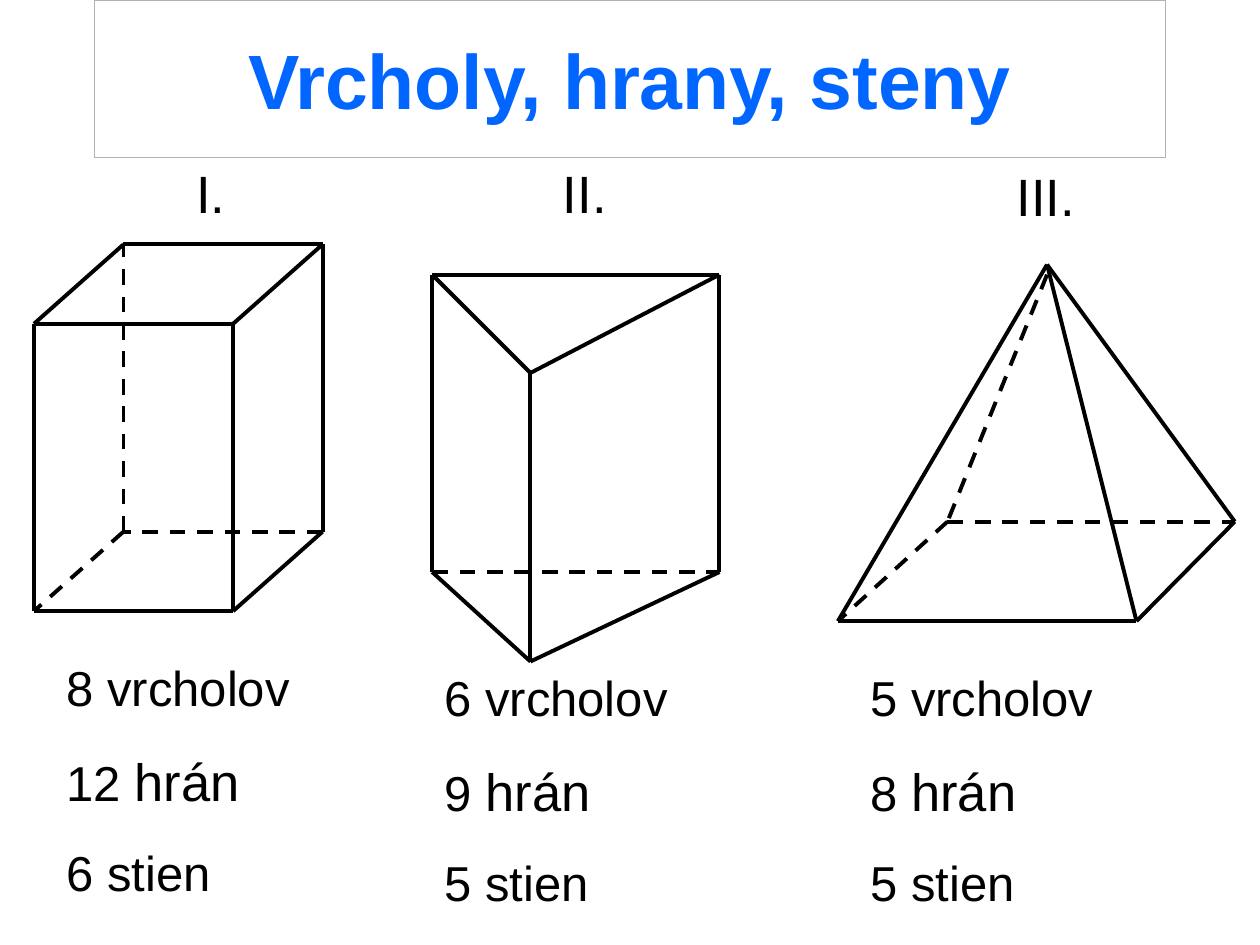
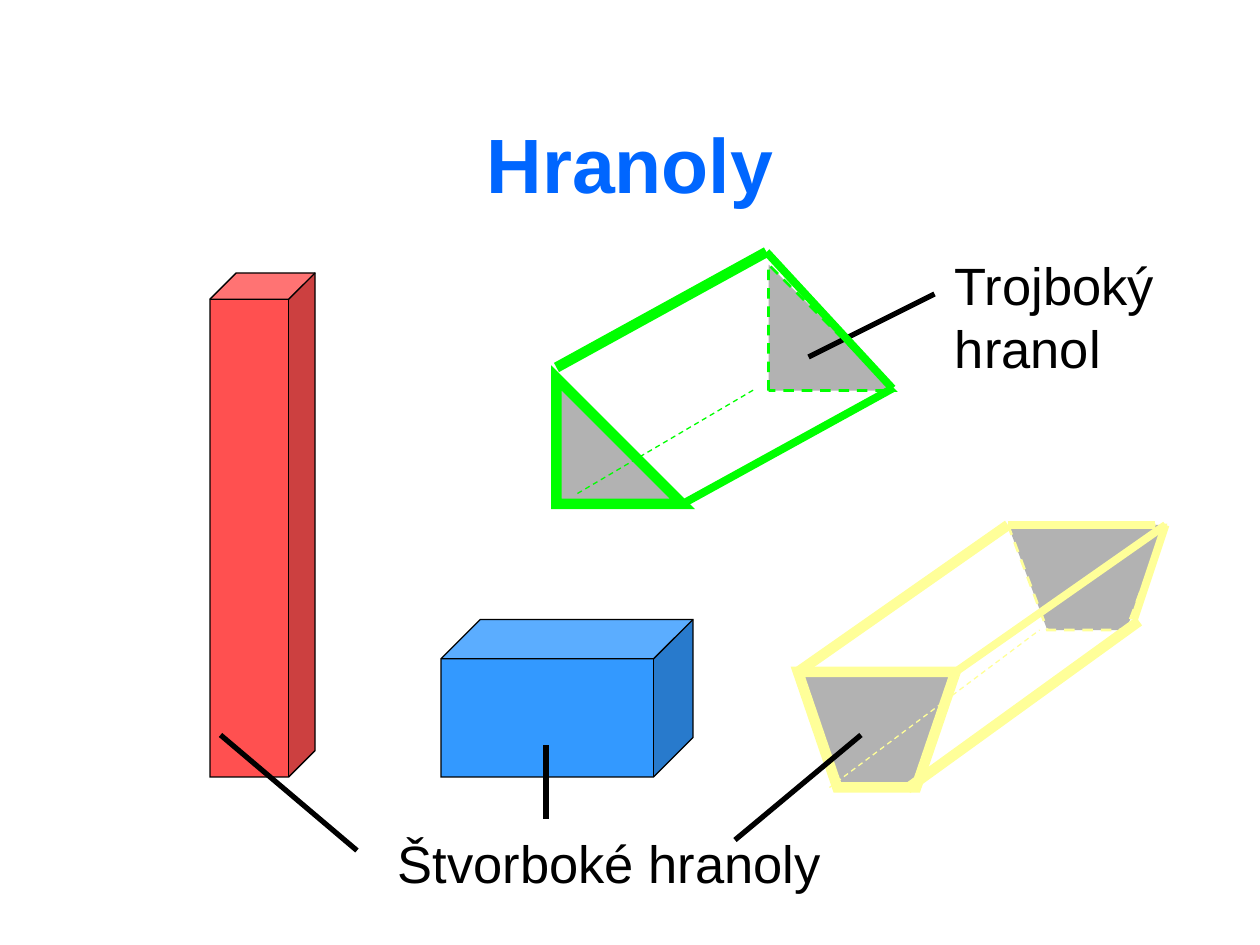
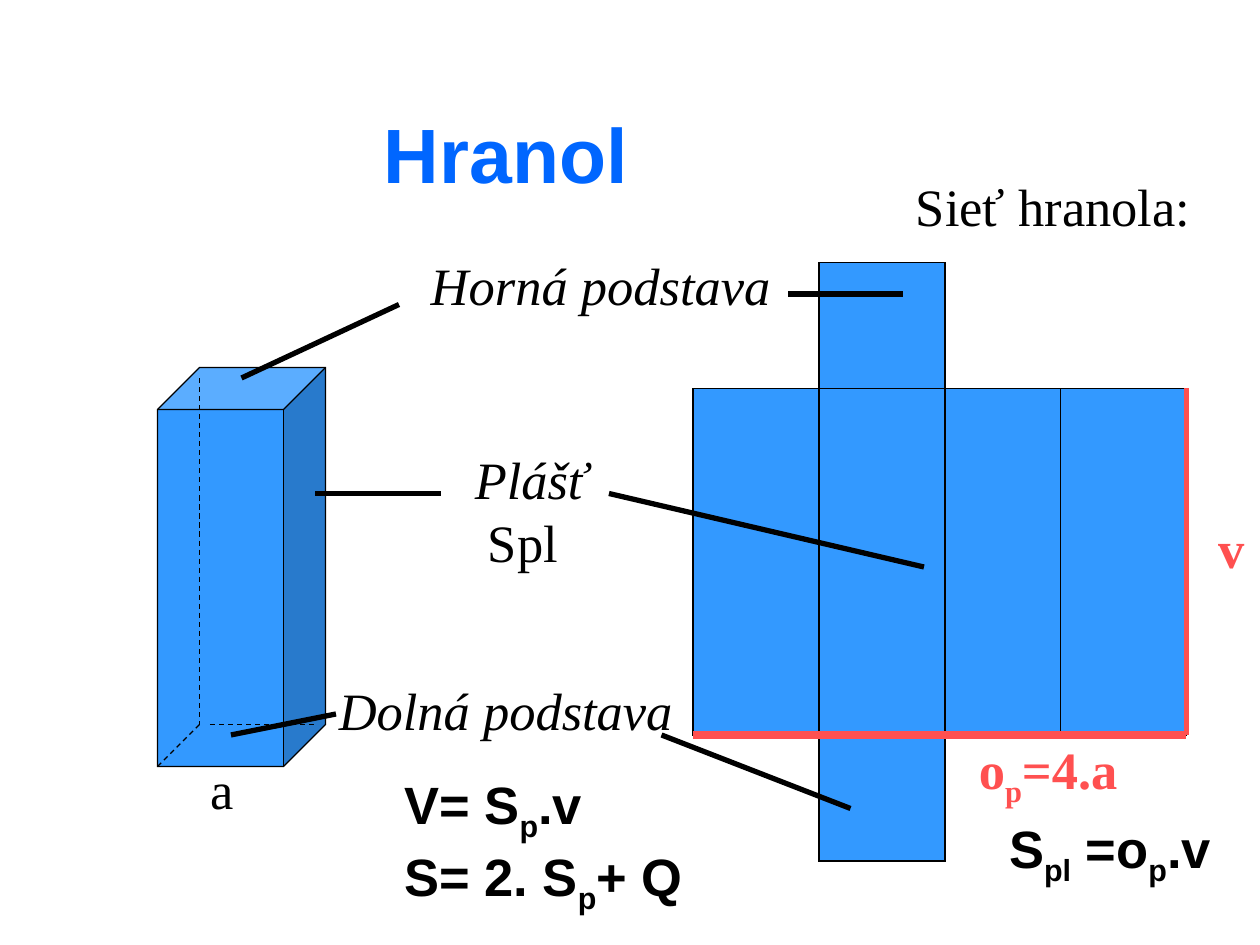
from dataclasses import dataclass
from typing import NamedTuple, Optional

from lxml import etree
from pptx import Presentation
from pptx.dml.color import RGBColor
from pptx.enum.dml import MSO_LINE
from pptx.enum.shapes import MSO_CONNECTOR, MSO_SHAPE
from pptx.enum.text import MSO_ANCHOR, MSO_AUTO_SIZE, PP_ALIGN
from pptx.oxml.ns import qn
from pptx.util import Inches, Pt

COLUMNS, ROWS = 120, 90
CELL = Inches(10) // COLUMNS
TITLE_ONLY = 5

STRAIGHT = MSO_CONNECTOR.STRAIGHT
CUBE, RECTANGLE, TRIANGLE = MSO_SHAPE.CUBE, MSO_SHAPE.RECTANGLE, MSO_SHAPE.RIGHT_TRIANGLE
DASH = MSO_LINE.DASH
MIDDLE = MSO_ANCHOR.MIDDLE
CENTER, RIGHT = PP_ALIGN.CENTER, PP_ALIGN.RIGHT
FIT_SHAPE, NO_FIT = MSO_AUTO_SIZE.SHAPE_TO_FIT_TEXT, MSO_AUTO_SIZE.NONE

SANS, SERIF = "Arial", "Times New Roman"
BLACK, TITLE_BLUE, BLUE, RED = "000000", "0066FF", "3399FF", "FF5050"
GRAY, GREEN, YELLOW = "B2B2B2", "00FF00", "FFFF99"

Point = tuple[float, float]


class Area(NamedTuple):
    """A place on the grid, in columns and rows."""
    left: float
    top: float
    width: float
    height: float


class Stroke(NamedTuple):
    """A line style."""
    colour: str
    width: float
    dashed: bool = False


class Span(NamedTuple):
    """A piece of text with one format."""
    text: str
    size: float = 30
    lowered: bool = False
    italic: bool = False


HAIRLINE = Stroke(BLACK, 0.75)
HIDDEN_HAIRLINE = Stroke(BLACK, 0.75, True)
SOLID_EDGE = Stroke(BLACK, 2.25)
HIDDEN_EDGE = Stroke(BLACK, 2.25, True)
POINTER = Stroke(BLACK, 3)


@dataclass
class Edge:
    """A straight line between two grid points."""
    start: Point
    end: Point
    stroke: Stroke


@dataclass
class Block:
    """A filled preset shape."""
    kind: int
    area: Area
    fill: str
    stroke: Stroke = HAIRLINE


@dataclass
class Trapezoid:
    """A trapezoid whose shorter side is at the bottom."""
    area: Area
    fill: str
    stroke: Stroke


@dataclass
class Label:
    """A text box holding one list of spans per line."""
    area: Area
    lines: list[list[Span]]
    font: str = SANS
    colour: str = BLACK
    bold: bool = False
    wraps: bool = False
    gap_share: float = 0
    last_indent: float = 0


@dataclass
class Solid:
    """A wireframe body with its numeral and its counts."""
    numeral: str
    numeral_area: Area
    vertices: dict[str, Point]
    visible: str
    hidden: str
    counts: tuple[int, int, int]
    counts_area: Area


def cells(*values: float) -> list[int]:
    """Turn grid units into lengths."""
    return [round(value * CELL) for value in values]


def rgb(colour: str) -> RGBColor:
    """Turn a hex string into a colour."""
    return RGBColor.from_string(colour)


def apply_stroke(line, stroke: Stroke) -> None:
    """Format a line or an outline."""
    line.color.rgb = rgb(stroke.colour)
    line.width = Pt(stroke.width)
    if stroke.dashed:
        line.dash_style = DASH


def dress(shape, fill: str, stroke: Stroke) -> None:
    """Give a shape its fill and a sharp-cornered outline."""
    shape.shadow.inherit = False
    shape.fill.solid()
    shape.fill.fore_color.rgb = rgb(fill)
    apply_stroke(shape.line, stroke)
    outline = shape._element.spPr.find(qn("a:ln"))
    etree.SubElement(outline, qn("a:miter")).set("lim", "800000")


def draw_edge(page, edge: Edge) -> None:
    """Draw a straight line."""
    line = page.shapes.add_connector(STRAIGHT, *cells(*edge.start, *edge.end))
    apply_stroke(line.line, edge.stroke)
    etree.SubElement(line._element.spPr, qn("a:effectLst"))


def draw_block(page, block: Block) -> None:
    """Draw a preset shape."""
    dress(page.shapes.add_shape(block.kind, *cells(*block.area)), block.fill, block.stroke)


def draw_trapezoid(page, trapezoid: Trapezoid) -> None:
    """Draw a trapezoid with its lower corners drawn in by a quarter."""
    left, top, width, height = trapezoid.area
    corners = [(left, top), (left + width / 4, top + height),
               (left + width * 3 / 4, top + height), (left + width, top)]
    first, *others = [tuple(cells(*corner)) for corner in corners]
    builder = page.shapes.build_freeform(*first)
    builder.add_line_segments(others, close=True)
    dress(builder.convert_to_shape(), trapezoid.fill, trapezoid.stroke)


def draw_label(page, label: Label) -> None:
    """Write a text box."""
    box = page.shapes.add_textbox(*cells(*label.area))
    frame = box.text_frame
    frame.word_wrap = label.wraps
    frame.auto_size = FIT_SHAPE
    for index, spans in enumerate(label.lines):
        para = frame.add_paragraph() if index else frame.paragraphs[0]
        if index and label.gap_share:
            para.space_before = Pt(label.gap_share * max(span.size for span in spans))
        for span in spans:
            run = para.add_run()
            run.text = span.text
            font = run.font
            font.name, font.size = label.font, Pt(span.size)
            font.bold, font.italic = label.bold, span.italic
            font.color.rgb = rgb(label.colour)
            if span.lowered:
                font._element.set("baseline", "-25000")
    if label.last_indent:
        para._p.get_or_add_pPr().set("marL", str(cells(label.last_indent)[0]))


PAINTERS = {Edge: draw_edge, Block: draw_block, Trapezoid: draw_trapezoid, Label: draw_label}


def draw_all(page, items: list) -> None:
    """Draw items from back to front."""
    for item in items:
        PAINTERS[type(item)](page, item)


def add_page(deck, title: str, area: Area, align=CENTER, border: Optional[Stroke] = None):
    """Add a page with a formatted title."""
    page = deck.slides.add_slide(deck.slide_layouts[TITLE_ONLY])
    holder = page.shapes.title
    holder.left, holder.top, holder.width, holder.height = cells(*area)
    if border:
        apply_stroke(holder.line, border)
    frame = holder.text_frame
    frame.text = title
    frame.vertical_anchor = MIDDLE
    frame.auto_size = NO_FIT
    para = frame.paragraphs[0]
    para.alignment = align
    font = para.runs[0].font
    font.name, font.size, font.bold = SANS, Pt(44), True
    font.color.rgb = rgb(TITLE_BLUE)
    return page


def plain(*texts: str, italic: bool = False) -> list[list[Span]]:
    """Make one single-span line of each text."""
    return [[Span(text, italic=italic)] for text in texts]


def formula(*texts: str) -> list[list[Span]]:
    """Make lines in which text between tildes is a subscript."""
    return [[Span(part, lowered=index % 2 == 1) for index, part in enumerate(text.split("~"))]
            for text in texts]


def edges(stroke: Stroke, *ends: tuple[Point, Point]) -> list[Edge]:
    """Make edges of one style."""
    return [Edge(start, end, stroke) for start, end in ends]


def solid_items(solid: Solid) -> list:
    """List the edges and labels of a solid."""
    wires = [Edge(solid.vertices[pair[0]], solid.vertices[pair[1]], stroke)
             for pairs, stroke in ((solid.visible, SOLID_EDGE), (solid.hidden, HIDDEN_EDGE))
             for pair in pairs.split()]
    corners, sides, faces = solid.counts
    counts = [[Span(f"{corners} vrcholov", 28)],
              [Span(f"{sides} ", 28), Span("hrán", 30)],
              [Span(f"{faces} stien", 28)]]
    return wires + [Label(solid.counts_area, counts, wraps=True, gap_share=0.625),
                    Label(solid.numeral_area, plain(solid.numeral))]


SOLIDS = [
    Solid("I.", Area(17.52, 14.76, 5.16, 7.2),
          {"A": (3.24, 58.2), "B": (22.2, 58.2), "C": (30.72, 50.64), "D": (11.76, 50.64),
           "E": (3.24, 30.84), "F": (22.2, 30.84), "G": (30.72, 23.28), "H": (11.76, 23.28)},
          "AB BC EF FG GH HE AE BF CG", "CD DA DH",
          (8, 12, 6), Area(5.16, 62.04, 30.24, 24.48)),
    Solid("II.", Area(52.44, 14.76, 7, 7.2),
          {"A": (41.16, 54.48), "B": (50.52, 63), "C": (68.52, 54.48),
           "D": (41.16, 26.16), "E": (50.52, 35.52), "F": (68.52, 26.16)},
          "AB BC DE EF FD AD BE CF", "AC",
          (6, 9, 5), Area(41.16, 63, 28.32, 24.48)),
    Solid("III.", Area(95.64, 15, 7.92, 7.2),
          {"A": (79.8, 59.16), "B": (108.24, 59.16), "C": (117.6, 49.68),
           "D": (90.24, 49.68), "V": (99.72, 25.2), "W": (99.72, 26.16)},
          "AB BC VA VB VC", "DA DC WD",
          (5, 8, 5), Area(81.72, 63, 33.12, 24.48)),
]


def build_solids(deck) -> None:
    """Build the page that counts corners, edges and faces."""
    page = add_page(deck, "Vrcholy, hrany, steny", Area(9, 0, 102, 15),
                    border=Stroke(GRAY, 0.75))
    for solid in SOLIDS:
        draw_all(page, solid_items(solid))


def build_prisms(deck) -> None:
    """Build the page of triangular and quadrilateral prisms."""
    page = add_page(deck, "Hranoly", Area(9, 8, 102, 15))
    draw_all(page, [
        Block(CUBE, Area(20, 26, 10, 48), RED),
        Block(CUBE, Area(42, 59, 24, 15), BLUE),
        Block(TRIANGLE, Area(53, 36, 12, 12), GRAY, Stroke(GREEN, 6)),
        Block(TRIANGLE, Area(73.2, 25.2, 12, 12), GRAY, Stroke(GREEN, 1.5, True)),
        Edge((55, 47), (72, 37), Stroke(GREEN, 0.75, True)),
        Edge((65, 48), (85, 37), Stroke(GREEN, 4.5)),
        Edge((53, 35), (73, 24), Stroke(GREEN, 6)),
        Trapezoid(Area(76, 64, 15, 11), GRAY, Stroke(YELLOW, 6)),
        Trapezoid(Area(96, 50, 15, 10), GRAY, Stroke(YELLOW, 1.5, True)),
        Edge((76, 64), (96, 50), Stroke(YELLOW, 6)),
        Edge((91, 64), (111, 50), Stroke(YELLOW, 4.5)),
        Edge((86.4, 75.12), (108.48, 59.16), Stroke(YELLOW, 6)),
        Edge((79, 75), (99, 60), Stroke(YELLOW, 0.75, True)),
        *edges(POINTER, ((21, 70), (34, 81)), ((52, 71), (52, 78)),
               ((70, 80), (82, 70)), ((77, 34), (89, 28))),
        Label(Area(36.72, 78.6, 43, 7.2), plain("Štvorboké hranoly")),
        Label(Area(89.76, 23.52, 22, 13.2), plain("Trojboký", "hranol")),
        Edge((73, 24), (85, 37), Stroke(GREEN, 4.5)),
        *edges(Stroke(YELLOW, 4.5), ((111, 50), (108, 59)), ((96, 50), (110, 50))),
    ])


def build_net(deck) -> None:
    """Build the page of a prism, its net and its formulas."""
    page = add_page(deck, "Hranol", Area(9, 8, 52, 13), RIGHT)
    walls = [Block(RECTANGLE, Area(left, 37, 12, 33), BLUE) for left in (66, 78, 90, 101)]
    bases = [Block(RECTANGLE, Area(78, top, 12, 12), BLUE) for top in (25, 70)]
    draw_all(page, [
        Block(CUBE, Area(15, 35, 16, 38), BLUE),
        *walls,
        *bases,
        *edges(HIDDEN_HAIRLINE, ((19, 36), (19, 69)), ((20, 69), (30, 69)),
               ((19, 69), (15, 73))),
        *edges(POINTER, ((23, 36), (38, 29)), ((86, 28), (75, 28)), ((30, 47), (42, 47)),
               ((22, 70), (32, 68)), ((63, 70), (81, 77)), ((58, 47), (88, 54))),
        Edge((66, 70), (113, 70), Stroke(RED, 4.5)),
        Edge((113, 37), (113, 70), Stroke(RED, 3)),
        Label(Area(39.84, 23.52, 35.2, 7.2), plain("Horná podstava", italic=True), SERIF),
        Label(Area(44.04, 42, 13.08, 13.2), plain("Plášť", italic=True) + plain("Spl"),
              SERIF, last_indent=1.25),
        Label(Area(31.08, 63.96, 34.5, 7.2), plain("Dolná podstava", italic=True), SERIF),
        Label(Area(37.32, 72.96, 28.92, 14.88), formula("V= S~p~.v", "S= 2. S~p~+ Q"),
              bold=True),
        Label(Area(86.04, 15.96, 28.56, 7.2), plain("Sieť hranola:"), SERIF),
        Label(Area(92.04, 69.6, 23.04, 8.04), formula("o~p~=4.a"), SERIF, RED, True, True),
        Label(Area(114.84, 48.6, 4.92, 7.2), plain("v"), SERIF, RED, True),
        Label(Area(94.92, 77.16, 25.08, 8.04), formula("S~pl~ =o~p~.v"), bold=True, wraps=True),
        Label(Area(18.84, 71.52, 4.56, 7.2), plain("a"), SERIF),
    ])


def main() -> None:
    """Build and save the deck."""
    deck = Presentation()
    deck.slide_width, deck.slide_height = cells(COLUMNS, ROWS)
    for build in (build_solids, build_prisms, build_net):
        build(deck)
    deck.save("out.pptx")


if __name__ == "__main__":
    main()
